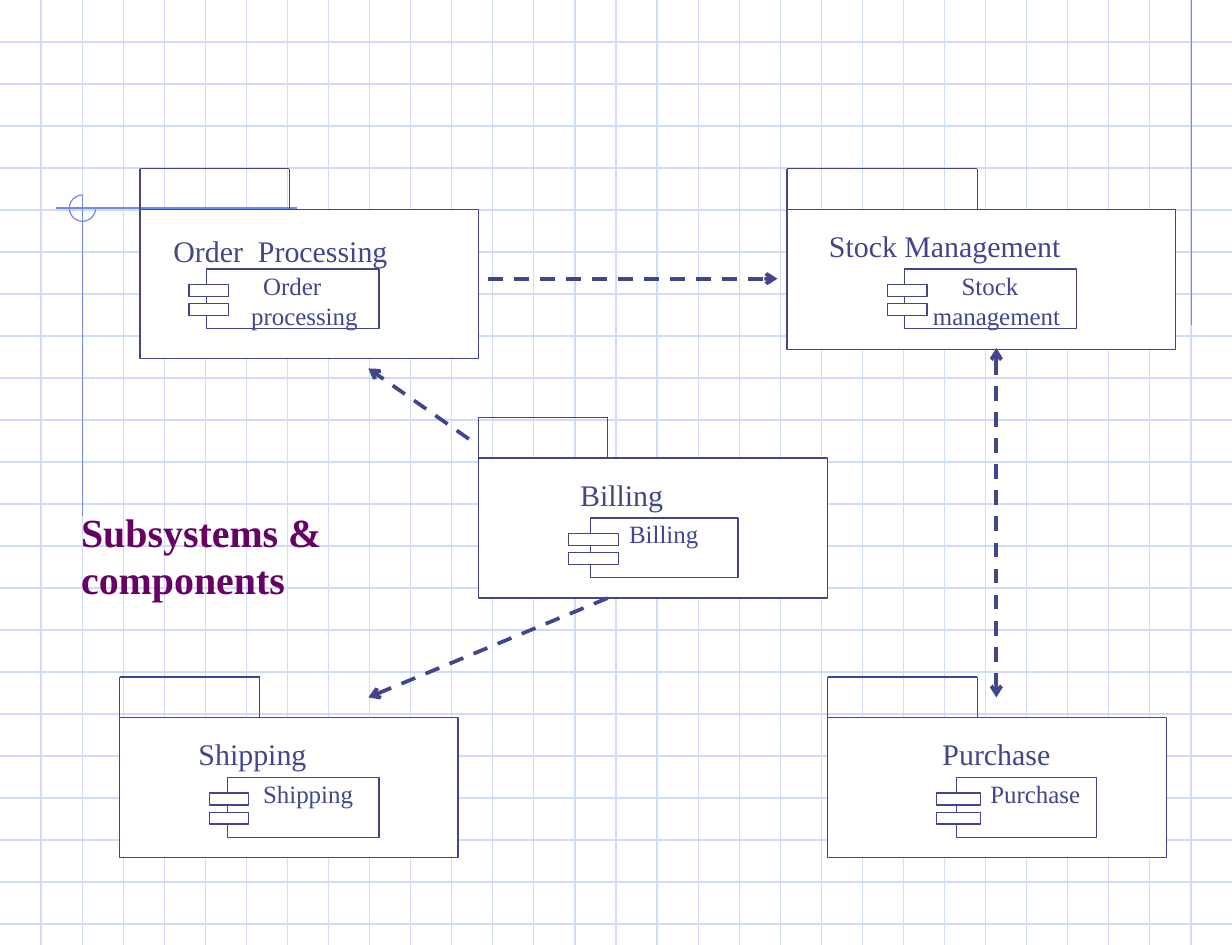
"""Build a slide of order-handling subsystems and their components."""
from dataclasses import dataclass

from pptx import Presentation
from pptx.dml.color import RGBColor
from pptx.enum.dml import MSO_LINE
from pptx.enum.shapes import MSO_CONNECTOR, MSO_SHAPE
from pptx.enum.text import MSO_ANCHOR, PP_ALIGN
from pptx.oxml.ns import qn
from pptx.oxml.xmlchemy import OxmlElement
from pptx.shapes.autoshape import Shape
from pptx.shapes.connector import Connector
from pptx.shapes.shapetree import SlideShapes
from pptx.util import Inches, Pt

RECTANGLE, ARC = MSO_SHAPE.RECTANGLE, MSO_SHAPE.ARC
STRAIGHT, DASH = MSO_CONNECTOR.STRAIGHT, MSO_LINE.DASH
TOP, BOTTOM, LEFT_ALIGNED = MSO_ANCHOR.TOP, MSO_ANCHOR.BOTTOM, PP_ALIGN.LEFT
FONT = "Times New Roman"
INK, PAPER, GRID, ACCENT, PLUM = "40458C", "FFFFFF", "CFDBFD", "6F89F7", "660066"
WIDTH, HEIGHT = 10.3, 7.9
GRID_ROWS, GRID_COLUMNS = 22.5, 30
TAB_HEIGHT = 0.34
LUG_HEIGHT, LUG_OFFSETS = 0.1, (0.13, 0.29)
COMPONENT_HEIGHT = 0.5
PACKAGE_SIZE, COMPONENT_SIZE = 18, 15
LINE_SPACING = 1.15

Point = tuple[float, float]


@dataclass(frozen=True)
class Label:
    text: str
    left: float


@dataclass(frozen=True)
class Package:
    label: Label
    left: float
    top: float
    width: float
    height: float
    tab_width: float


@dataclass(frozen=True)
class Component:
    labels: tuple[Label, ...]
    left: float
    top: float
    width: float
    lug_left: float
    lug_width: float


@dataclass(frozen=True)
class Dependency:
    start: Point
    end: Point
    two_way: bool = False


PACKAGES = (
    Package(Label("Order  Processing", 1.45), 1.17, 1.75, 2.83, 1.25, 1.25),
    Package(Label("Stock Management", 6.93), 6.58, 1.75, 3.25, 1.17, 1.59),
    Package(Label("Billing", 4.85), 4, 3.83, 2.92, 1.17, 1.08),
    Package(Label("Shipping", 1.66), 1, 6, 2.83, 1.17, 1.17),
    Package(Label("Purchase", 7.88), 6.92, 6, 2.83, 1.17, 1.25),
)
DEPENDENCIES = (
    Dependency((4.08, 2.33), (6.5, 2.33)),
    Dependency((3.92, 3.67), (3.08, 3.08)),
    Dependency((8.33, 2.91), (8.33, 5.83), two_way=True),
    Dependency((5.08, 5), (3.08, 5.83)),
)
COMPONENTS = (
    Component((Label("Billing", 5.26),), 4.94, 4.33, 1.23, 4.75, 0.42),
    Component((Label("Purchase", 8.28),), 8, 6.5, 1.17, 7.83, 0.37),
    Component((Label("Stock", 8.04), Label("management", 7.8)),
              7.56, 2.25, 1.44, 7.42, 0.33),
    Component((Label("Shipping", 2.2),), 1.9, 6.5, 1.27, 1.75, 0.33),
    Component((Label("Order", 2.2), Label("processing", 2.1)),
              1.73, 2.25, 1.44, 1.58, 0.33),
)


def color(value: str) -> RGBColor:
    return RGBColor.from_string(value)


def draw_line(shapes: SlideShapes, start: Point, end: Point,
              stroke: str = INK, weight: float = 0.75) -> Connector:
    line = shapes.add_connector(STRAIGHT, *map(Inches, start + end))
    line.line.color.rgb = color(stroke)
    line.line.width = Pt(weight)
    line.element.spPr.append(OxmlElement("a:effectLst"))
    return line


def draw_box(shapes: SlideShapes, left: float, top: float,
             width: float, height: float) -> Shape:
    box = shapes.add_shape(RECTANGLE, *map(Inches, (left, top, width, height)))
    box.shadow.inherit = False
    box.fill.solid()
    box.fill.fore_color.rgb = color(PAPER)
    box.line.color.rgb = color(INK)
    box.line.width = Pt(0.75)
    return box


def write_labels(box: Shape, labels: tuple[Label, ...], size: int,
                 box_left: float, top_margin: float) -> None:
    frame = box.text_frame
    frame.word_wrap = True
    frame.vertical_anchor = TOP
    frame.margin_left = frame.margin_right = frame.margin_bottom = 0
    frame.margin_top = Inches(top_margin)
    for index, label in enumerate(labels):
        paragraph = frame.add_paragraph() if index else frame.paragraphs[0]
        paragraph.alignment = LEFT_ALIGNED
        indent = Inches(label.left - box_left)
        paragraph._p.get_or_add_pPr().set("marL", str(indent))
        run = paragraph.add_run()
        run.text = label.text
        run.font.name, run.font.size = FONT, Pt(size)
        run.font.color.rgb = color(INK)


def draw_background(shapes: SlideShapes) -> None:
    for row in range(1, int(GRID_ROWS) + 1):
        y = row * HEIGHT / GRID_ROWS
        draw_line(shapes, (0, y), (WIDTH, y), GRID)
    for column in range(1, GRID_COLUMNS):
        x = column * WIDTH / GRID_COLUMNS
        draw_line(shapes, (x, 0), (x, HEIGHT), GRID)
    draw_line(shapes, (9.96, 0), (9.96, 2.72), ACCENT)
    draw_line(shapes, (2.48, 1.74), (0.47, 1.74), ACCENT)
    draw_line(shapes, (0.69, 1.63), (0.69, 4.31), ACCENT)
    pivot = shapes.add_shape(ARC, *map(Inches, (0.58, 1.63, 0.22, 0.22)))
    pivot.adjustments[0], pivot.adjustments[1] = 0, 162
    pivot.shadow.inherit = False
    pivot.fill.background()
    pivot.line.color.rgb = color(ACCENT)
    pivot.line.width = Pt(0.75)


def draw_heading(shapes: SlideShapes) -> None:
    heading = shapes.add_textbox(*map(Inches, (0.58, 4.42, 2.83, 0.67)))
    frame = heading.text_frame
    frame.word_wrap = True
    frame.vertical_anchor = BOTTOM
    run = frame.paragraphs[0].add_run()
    run.text = "Subsystems & components"
    run.font.name, run.font.size, run.font.bold = FONT, Pt(24), True
    run.font.color.rgb = color(PLUM)


def draw_package(shapes: SlideShapes, package: Package) -> None:
    left, top = package.left, package.top
    body = draw_box(shapes, left, top, package.width, package.height)
    three_lines = 3 * PACKAGE_SIZE * LINE_SPACING / 72
    write_labels(body, (package.label,), PACKAGE_SIZE, left,
                 (package.height - three_lines) / 2)
    right, tab_top = left + package.tab_width, top - TAB_HEIGHT
    outline = ((left, top), (left, tab_top), (right, tab_top), (right, top))
    for start, end in zip(outline, outline[1:]):
        draw_line(shapes, start, end)


def draw_dependency(shapes: SlideShapes, dependency: Dependency) -> None:
    arrow = draw_line(shapes, dependency.start, dependency.end, weight=2.25)
    arrow.line.dash_style = DASH
    outline = arrow.element.spPr.find(qn("a:ln"))
    for tag in ("a:headEnd", "a:tailEnd") if dependency.two_way else ("a:tailEnd",):
        tip = OxmlElement(tag)
        tip.set("type", "arrow")
        outline.append(tip)


def draw_component(shapes: SlideShapes, component: Component) -> None:
    left, top = component.left, component.top
    body = draw_box(shapes, left, top, component.width, COMPONENT_HEIGHT)
    write_labels(body, component.labels, COMPONENT_SIZE, left, 0.01)
    for offset in LUG_OFFSETS:
        draw_box(shapes, component.lug_left, top + offset,
                 component.lug_width, LUG_HEIGHT)


def main() -> None:
    deck = Presentation()
    deck.slide_width, deck.slide_height = Inches(WIDTH), Inches(HEIGHT)
    shapes = deck.slides.add_slide(deck.slide_layouts[6]).shapes
    draw_background(shapes)
    draw_heading(shapes)
    for package in PACKAGES:
        draw_package(shapes, package)
    for dependency in DEPENDENCIES:
        draw_dependency(shapes, dependency)
    for component in COMPONENTS:
        draw_component(shapes, component)
    deck.save("out.pptx")


if __name__ == "__main__":
    main()
